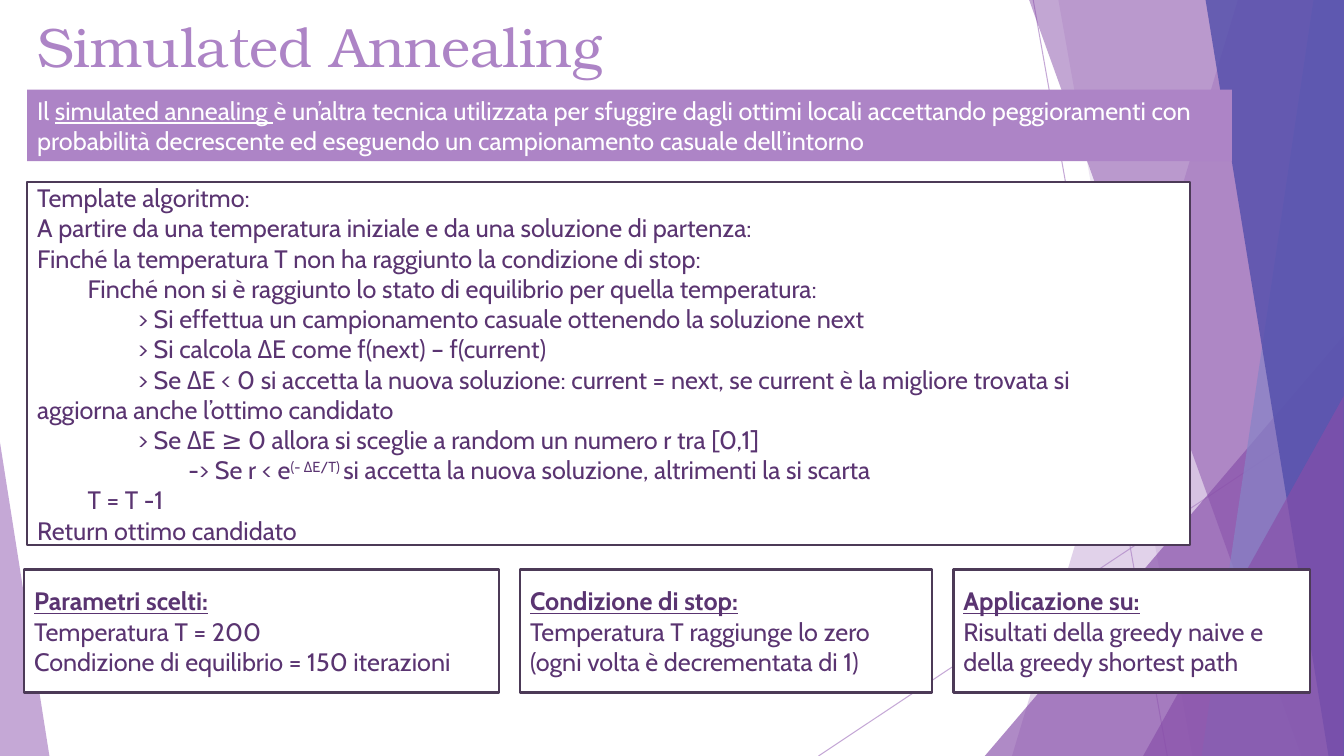
from pptx import Presentation
from pptx.dml.color import RGBColor as Rgb
from pptx.enum.shapes import MSO_CONNECTOR as Link, MSO_SHAPE as Kind
from pptx.enum.text import MSO_ANCHOR as Anchor, MSO_AUTO_SIZE as Fit, PP_ALIGN as Align
from pptx.oxml.ns import qn
from pptx.oxml.xmlchemy import OxmlElement as Node
from pptx.util import Inches, Pt

# The grid has cells of a tenth of an inch.
COLS, ROWS = 133.33, 75
LILAC, PLUM, BLUE, NAVY = "AD84C6", "874EA9", "8784C7", "524EAB"
INK, EDGE, WHITE = "5A3471", "4C3A57", "FFFFFF"


def cell(*nums):
    return [Inches(n / 10) for n in nums]


def rgb(code):
    return Rgb.from_string(code)


def fade(shape, share):
    """Make every colour of the shape opaque to the given percentage."""
    for tint in shape._element.spPr.iter(qn("a:srgbClr")):
        alpha = Node("a:alpha")
        alpha.set("val", str(share * 1000))
        tint.append(alpha)


class Deck:
    font, head, size = "Cabin", "TeX Gyre Bonum", 18

    def __init__(self):
        self.prs = Presentation()
        self.prs.slide_width, self.prs.slide_height = cell(COLS, ROWS)
        self.slide = self.prs.slides.add_slide(self.prs.slide_layouts[5])
        self.shapes = self.slide.shapes

    def paint(self, shape, fill, line=None, share=None):
        shape.shadow.inherit = False
        shape.fill.solid()
        shape.fill.fore_color.rgb = rgb(fill)
        if line:
            shape.line.color.rgb = rgb(line)
            shape.line.width = Pt(1.5)
        else:
            shape.line.fill.background()
        if share:
            fade(shape, share)

    def ray(self, start, end):
        link = self.shapes.add_connector(Link.STRAIGHT, *cell(*start, *end))
        link.line.color.rgb = rgb(LILAC)
        link.line.width = Pt(0.75)
        fade(link, 70)
        link._element.spPr.append(Node("a:effectLst"))

    def band(self, top, base, fill, share):
        """Fill from a slanted edge, given by its two columns, to the right side."""
        pts = [(top, 0), (COLS, 0), (COLS, ROWS), (base, ROWS)]
        pen = self.shapes.build_freeform(*cell(*pts[0]))
        pen.add_line_segments([cell(*p) for p in pts[1:]])
        self.paint(pen.convert_to_shape(), fill, share=share)

    def wedge(self, left, top, wide, tip, fill, share):
        """Draw a triangle down to the bottom edge, its tip at 0 (left) or 1 (right)."""
        shape = self.shapes.add_shape(
            Kind.ISOSCELES_TRIANGLE, *cell(left, top, wide, ROWS - top))
        shape.adjustments[0] = tip
        self.paint(shape, fill, share=share)

    def style(self, run, color, mark="", font=None, size=None):
        run.font.name = font or self.font
        run.font.size = Pt(size or self.size)
        run.font.color.rgb = rgb(color)
        run.font.bold = "b" in mark
        run.font.underline = "u" in mark
        if "^" in mark:
            run.font._element.set("baseline", "30000")

    def title(self, text, area):
        shape = self.shapes.title
        self.shapes._spTree.append(shape._element)
        shape.left, shape.top, shape.width, shape.height = cell(*area)
        self.paint(shape, WHITE, WHITE)
        frame = shape.text_frame
        frame.text = text
        frame.auto_size = Fit.NONE
        frame.vertical_anchor = Anchor.MIDDLE
        para = frame.paragraphs[0]
        para.alignment = Align.LEFT
        self.style(para.runs[0], LILAC, font=self.head, size=39.6)

    def box(self, area, paras, fill=WHITE, line=EDGE, color=INK):
        """Each paragraph is (indent level, (text, marks), ...)."""
        shape = self.shapes.add_shape(Kind.RECTANGLE, *cell(*area))
        self.paint(shape, fill, line)
        frame = shape.text_frame
        frame.word_wrap = True
        frame.vertical_anchor = Anchor.MIDDLE
        for i, (level, *parts) in enumerate(paras):
            para = frame.add_paragraph() if i else frame.paragraphs[0]
            para.alignment = Align.LEFT
            props = para._p.get_or_add_pPr()
            props.set("marL", "0")
            props.set("indent", str(Inches(level / 2)))
            for text, mark in parts:
                if len(parts) == 1:
                    para.text = text
                else:
                    para.add_run().text = text
                for run in para.runs[-1:] if len(parts) > 1 else para.runs:
                    self.style(run, color, mark)

    def card(self, left, wide, head, *lines):
        paras = [(0, (head, "bu"))] + [(0, (text, "")) for text in lines]
        self.box((left, 56.5, wide, 12.2), paras)


STEPS = [
    (0, "Template algoritmo:"),
    (0, "A partire da una temperatura iniziale e da una soluzione di partenza:"),
    (0, "Finché la temperatura T non ha raggiunto la condizione di stop:"),
    (1, "Finché non si è raggiunto lo stato di equilibrio per quella temperatura:"),
    (2, "> Si effettua un campionamento casuale ottenendo la soluzione next"),
    (2, "> Si calcola ΔE come f(next) – f(current)"),
    (2, "> Se ΔE < 0 si accetta la nuova soluzione: current = next, "
        "se current è la migliore trovata si\vaggiorna anche l’ottimo candidato"),
    (2, "> Se ΔE ≥ 0 allora si sceglie a random un numero r tra [0,1]"),
    (3, "-> Se r < e", "^(- ΔE/T) ", "si accetta la nuova soluzione, altrimenti la si scarta"),
    (1, "T = T -1"),
    (0, "Return ottimo candidato"),
]


def main():
    deck = Deck()
    deck.ray((102.5, 0), (115.8, ROWS))
    deck.ray((COLS, 40.3), (81.2, ROWS))
    deck.band(122.8, 100.4, LILAC, 36)
    deck.band(105, 118.3, LILAC, 20)
    deck.wedge(97.7, 33.3, 35.6, 1, PLUM, 66)
    deck.band(102.1, 129.1, PLUM, 50)
    deck.band(130.3, 119.2, BLUE, 70)
    deck.band(119.6, 131.8, NAVY, 80)
    deck.wedge(113.4, 39.3, 19.9, 1, PLUM, 66)
    deck.wedge(0, 43.9, 4.9, 0, LILAC, 70)

    deck.title("Simulated Annealing", (2.7, 0.9, 94.1, 7.1))
    intro = (0, ("Il ", ""), ("simulated annealing ", "u"),
             ("è un’altra tecnica utilizzata per sfuggire dagli ottimi locali "
              "accettando peggioramenti con probabilità decrescente ed eseguendo "
              "un campionamento casuale dell’intorno", ""))
    deck.box((2.7, 8.9, 119.5, 7.1), [intro], LILAC, None, WHITE)
    steps = [(level, *((t.lstrip("^"), "^" if t[0] == "^" else "") for t in texts))
             for level, *texts in STEPS]
    deck.box((2.7, 18.1, 115.4, 36), steps)

    deck.card(2.4, 47.1, "Parametri scelti:", "Temperatura T = 200",
              "Condizione di equilibrio = 150 iterazioni")
    deck.card(51.6, 40.9, "Condizione di stop:",
              "Temperatura T raggiunge lo zero (ogni volta è decrementata di 1)")
    deck.card(94.6, 35.4, "Applicazione su:",
              "Risultati della greedy naive e della greedy shortest path")
    deck.prs.save("out.pptx")


if __name__ == "__main__":
    main()
